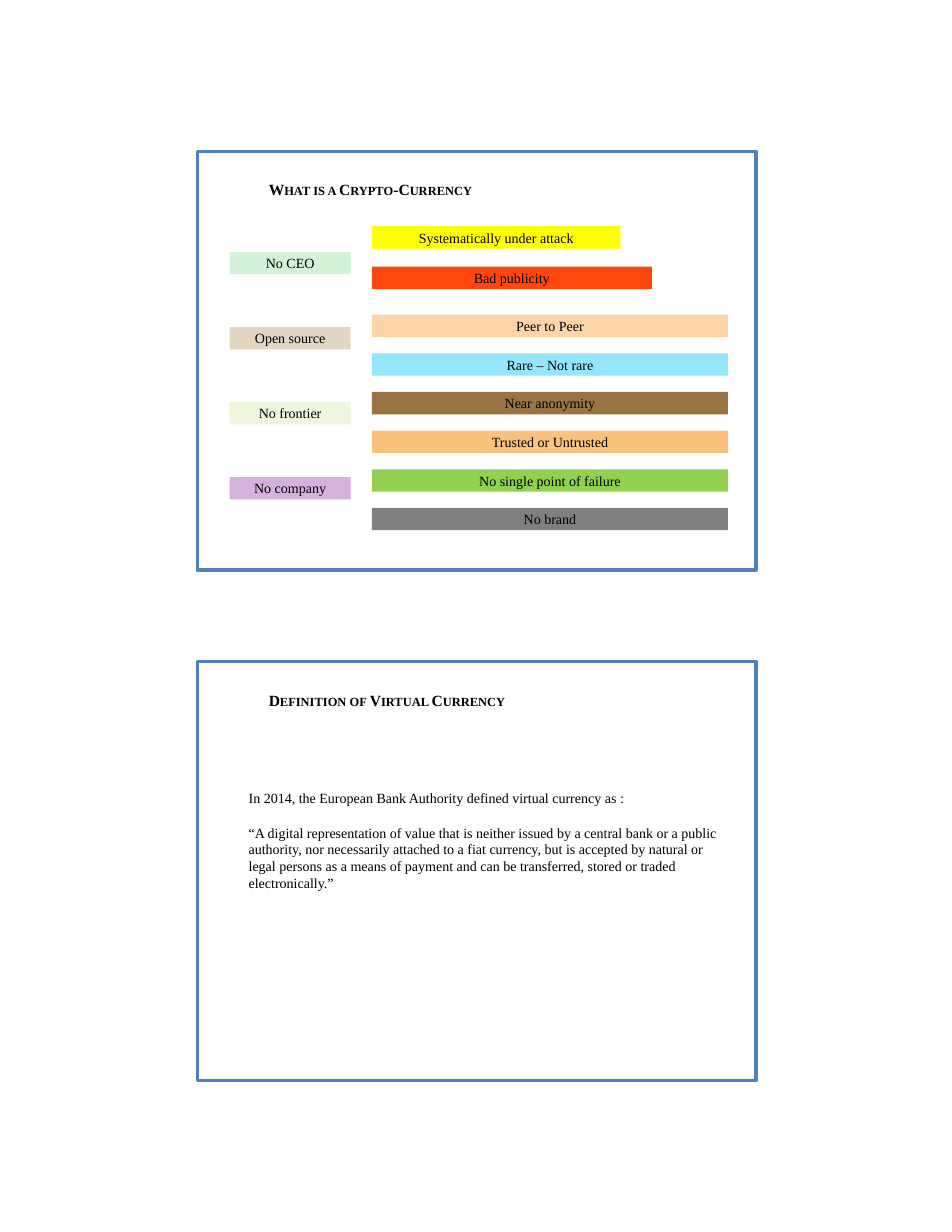
"""Build a handout page with two framed panels on virtual currency."""
import itertools
import pptx
import pptx.dml.color
import pptx.enum.shapes
import pptx.enum.text
import pptx.util

RGB = pptx.dml.color.RGBColor
Inches = pptx.util.Inches
Pt = pptx.util.Pt
ALIGN = pptx.enum.text.PP_ALIGN
ANCHOR = pptx.enum.text.MSO_ANCHOR
RECT = pptx.enum.shapes.MSO_SHAPE.RECTANGLE

BLACK = RGB(0, 0, 0)
WHITE = RGB(255, 255, 255)
BLUE = RGB(0x4F, 0x81, 0xBD)
MINT = RGB(0xD3, 0xF2, 0xD8)
SAND = RGB(0xE5, 0xD6, 0xC3)
LIME = RGB(0xEE, 0xF6, 0xDB)
LILAC = RGB(0xD4, 0xB2, 0xDB)
YELLOW = RGB(0xFF, 0xFF, 0x00)
RED = RGB(0xFF, 0x47, 0x0D)
PEACH = RGB(0xFC, 0xD6, 0xA9)
SKY = RGB(0x94, 0xE6, 0xFF)
BROWN = RGB(0x9A, 0x74, 0x43)
ORANGE = RGB(0xFB, 0xC2, 0x7D)
GREEN = RGB(0x92, 0xD0, 0x50)
GRAY = RGB(0x7F, 0x7F, 0x7F)

FRAME = {"margin_left": 0, "margin_right": 0, "margin_top": 0, "margin_bottom": 0,
         "word_wrap": True, "auto_size": pptx.enum.text.MSO_AUTO_SIZE.NONE}
FONT = {"name": "Times New Roman", "size": Pt(9), "bold": False}
HEAD = FONT | {"bold": True}


def format(item, values):
    for key, value in values.items():
        setattr(item, key, value)


def add_box(x, y, wide, high, fill):
    box = slide.shapes.add_shape(RECT, Inches(x), Inches(y), Inches(wide), Inches(high))
    box.shadow.inherit = False
    box.fill.solid()
    box.fill.fore_color.rgb = fill
    box.line.fill.background()
    return box


deck = pptx.Presentation()
deck.slide_width, deck.slide_height = Inches(8.5), Inches(11)
slide = deck.slides.add_slide(deck.slide_layouts[5])

LEFT, WIDE, HIGH = 1.76, 4.99, 3.74
TOPS = [1.35, 5.91]
for top in TOPS:
    panel = add_box(LEFT, top, WIDE, HIGH, WHITE)
    panel.line.color.rgb = BLUE
    panel.line.width = Pt(2)

title = slide.shapes.title
title.element.getparent().append(title.element)
second = slide.shapes.add_textbox(0, 0, 0, 0)
heads = [
    (title, ["W", "HAT IS A ", "C", "RYPTO", "-C", "URRENCY"]),
    (second, ["D", "EFINITION OF ", "V", "IRTUAL ", "C", "URRENCY"]),
]
for top, (head, parts) in zip(TOPS, heads):
    format(head, {"left": Inches(LEFT + 0.64), "top": Inches(top + 0.24),
                  "width": Inches(4), "height": Inches(0.2)})
    format(head.text_frame, FRAME | {"vertical_anchor": ANCHOR.MIDDLE})
    line = head.text_frame.paragraphs[0]
    line.alignment = ALIGN.LEFT
    for part, size in zip(parts, itertools.cycle([10, 8])):
        run = line.add_run()
        run.text = part
        format(run.font, HEAD | {"size": Pt(size)})
        run.font.color.rgb = BLACK

groups = [
    (2.05, 2.25, 0.67, [("No CEO", MINT, 1.08), ("Open source", SAND, 1.08),
                        ("No frontier", LIME, 1.08), ("No company", LILAC, 1.08)]),
    (3.32, 2.02, 0.36, [("Systematically under attack", YELLOW, 2.22),
                        ("Bad publicity", RED, 2.5)]),
    (3.32, 2.81, 0.345, [("Peer to Peer", PEACH, 3.18), ("Rare – Not rare", SKY, 3.18),
                         ("Near anonymity", BROWN, 3.18),
                         ("Trusted or Untrusted", ORANGE, 3.18),
                         ("No single point of failure", GREEN, 3.18),
                         ("No brand", GRAY, 3.18)]),
]
for x, y, step, bars in groups:
    for row, (text, fill, wide) in enumerate(bars):
        bar = add_box(x, y + row * step, wide, 0.2, fill)
        format(bar.text_frame, FRAME | {"vertical_anchor": ANCHOR.MIDDLE})
        line = bar.text_frame.paragraphs[0]
        line.text = text
        line.alignment = ALIGN.CENTER
        format(line.font, FONT)
        line.font.color.rgb = BLACK

body = slide.shapes.add_textbox(Inches(LEFT + 0.46), Inches(7.05), Inches(4.25), Inches(0.95))
format(body.text_frame, FRAME)
body.text_frame.text = (
    "In 2014, the European Bank Authority defined virtual currency as :\n"
    "“A digital representation of value that is neither issued by a central bank "
    "or a public authority, nor necessarily attached to a fiat currency, but is "
    "accepted by natural or legal persons as a means of payment and can be "
    "transferred, stored or traded electronically.”")
for line, gap in zip(body.text_frame.paragraphs, [0, 11.8]):
    format(line, {"space_before": Pt(gap), "line_spacing": Pt(10.7)})
    format(line.font, FONT)
    line.font.color.rgb = BLACK

deck.save("out.pptx")
